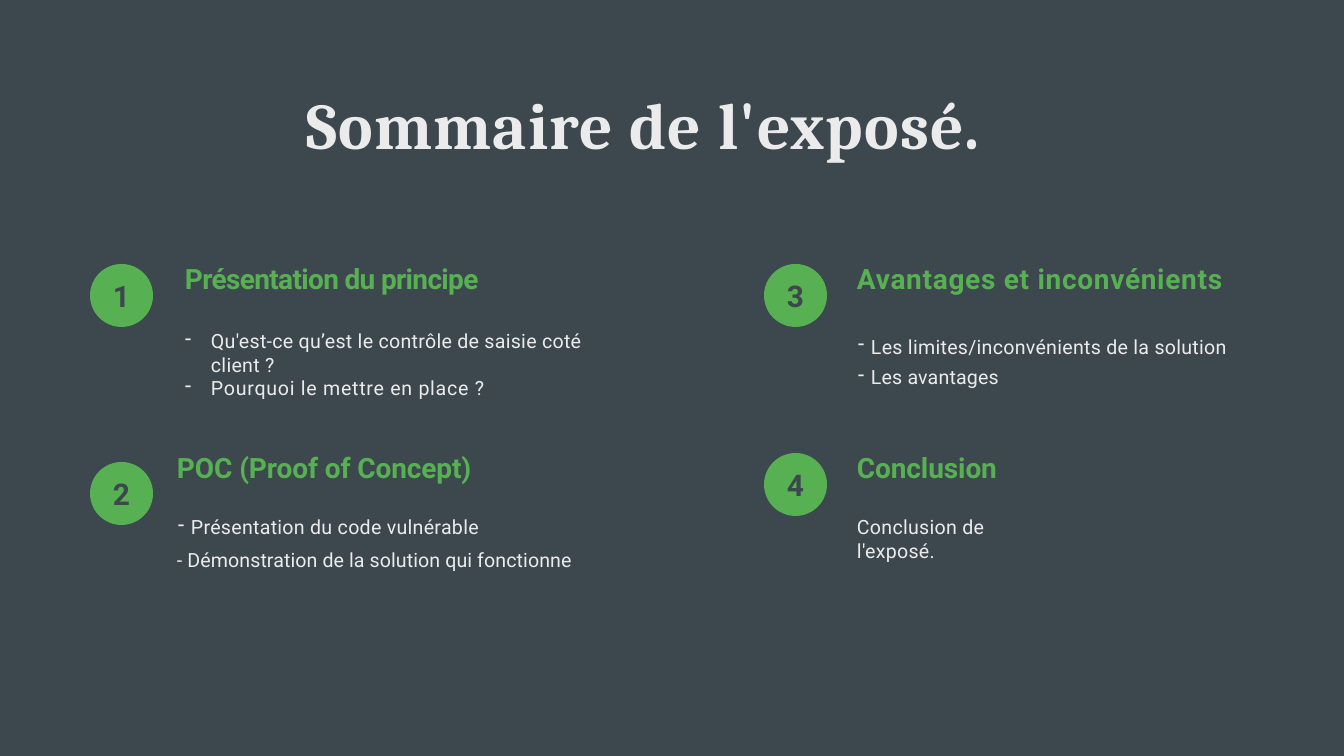
from lxml import etree
from pptx import Presentation
from pptx.dml.color import RGBColor
from pptx.enum.shapes import MSO_SHAPE
from pptx.enum.text import MSO_ANCHOR, PP_ALIGN
from pptx.oxml.ns import qn
from pptx.util import Pt

SCALE = 13607  # EMU in one px, at 67.2 px to the inch
OVAL = MSO_SHAPE.OVAL
TOP, MIDDLE = MSO_ANCHOR.TOP, MSO_ANCHOR.MIDDLE
LEFT, CENTER = PP_ALIGN.LEFT, PP_ALIGN.CENTER
TITLE_ONLY = 5

SLATE, GREEN, LIGHT = "3D484E", "57B152", "EBEBEB"
BADGE_SIZE = 63
COLUMNS, ROWS = (90, 764), (261, 450)

# Each point: text, then its paragraph format. Offsets are from the topic's corner.
TOPICS = [
    dict(column=0, row=0, badge_top=3, text_left=95, width=423, height=141,
         heading="Présentation du principe", spacing=-0.7,
         points=[("Qu'est-ce qu’est le contrôle de saisie coté client ?",
                  dict(before=36, spacing=0.3, hang=26)),
                 ("Pourquoi le mettre en place ?", dict(spacing=0.8, hang=26))]),
    dict(column=0, row=1, badge_top=12, text_left=87, width=445, height=119,
         heading="POC (Proof of Concept)", spacing=-0.1,
         points=[("Présentation du code vulnérable",
                  dict(before=32.9, spacing=0.3, hang=13)),
                 ("- Démonstration de la solution qui fonctionne",
                  dict(before=2.4, spacing=0.1, line=33))]),
    dict(column=1, row=0, badge_top=3, text_left=93, width=396, height=130,
         heading="Avantages et inconvénients", spacing=0.8,
         points=[("Les limites/inconvénients de la solution",
                  dict(before=41.6, spacing=0.3, hang=13)),
                 ("Les avantages", dict(before=7.8, spacing=0.2, hang=13))]),
    dict(column=1, row=1, badge_top=3, text_left=93, width=209, height=90,
         heading="Conclusion", spacing=-0.1, right_inset=30,
         points=[("Conclusion de l'exposé.", dict(before=32.9, spacing=0.3))]),
]


def px(length):
    return length * SCALE


def color(hex_code):
    return RGBColor.from_string(hex_code)


def set_frame(frame, anchor=TOP, top=1, right=0):
    frame.word_wrap = True
    frame.vertical_anchor = anchor
    frame.margin_left = frame.margin_bottom = 0
    frame.margin_top, frame.margin_right = px(top), px(right)


def write(para, text, size=21, font="Roboto", fill=LIGHT, bold=False, spacing=0,
          before=0, line=None, hang=0, align=LEFT):
    """Fill a paragraph; a hang in px gives it a dash bullet."""
    para.alignment = align
    para.space_before = Pt(before)
    if line:
        para.line_spacing = Pt(line)
    if hang:
        properties = para._p.get_or_add_pPr()
        properties.set("marL", str(px(hang + 1 if hang < 20 else hang)))
        properties.set("indent", str(-px(hang)))
        etree.SubElement(properties, qn("a:buChar")).set("char", "-")
    span = para.add_run()
    span.text = text
    span.font.size = Pt(size)
    span.font.name = font
    span.font.bold = bold
    span.font.color.rgb = color(fill)
    span._r.get_or_add_rPr().set("spc", str(round(spacing * 100)))


def add_title(page, left, top, width, height):
    title = page.shapes.title
    title.left, title.top = px(left), px(top)
    title.width, title.height = px(width), px(height)
    set_frame(title.text_frame)
    write(title.text_frame.paragraphs[0], "Sommaire de l'exposé.", size=70,
          font="Cambria", bold=True, spacing=1.3, before=1.2)


def add_badge(page, left, top, number):
    badge = page.shapes.add_shape(OVAL, px(left), px(top), px(BADGE_SIZE), px(BADGE_SIZE))
    badge.shadow.inherit = False
    badge.fill.solid()
    badge.fill.fore_color.rgb = color(GREEN)
    badge.line.fill.background()
    set_frame(badge.text_frame, anchor=MIDDLE, top=0)
    write(badge.text_frame.paragraphs[0], str(number), size=32, fill=SLATE,
          bold=True, spacing=-0.1, align=CENTER)


def add_topic(page, left, top, number, topic):
    add_badge(page, left, top + topic["badge_top"], number)
    box = page.shapes.add_textbox(px(left + topic["text_left"]), px(top),
                                  px(topic["width"]), px(topic["height"]))
    frame = box.text_frame
    set_frame(frame, right=topic.get("right_inset", 0))
    write(frame.paragraphs[0], topic["heading"], size=30, fill=GREEN, bold=True,
          spacing=topic["spacing"], before=1)
    for text, style in topic["points"]:
        write(frame.add_paragraph(), text, **style)


def main():
    deck = Presentation()
    deck.slide_width, deck.slide_height = px(1344), px(756)
    page = deck.slides.add_slide(deck.slide_layouts[TITLE_ONLY])
    page.background.fill.solid()
    page.background.fill.fore_color.rgb = color(SLATE)
    add_title(page, 306, 83, 981, 81)
    for number, topic in enumerate(TOPICS, start=1):
        add_topic(page, COLUMNS[topic["column"]], ROWS[topic["row"]], number, topic)
    deck.save("out.pptx")


if __name__ == "__main__":
    main()
